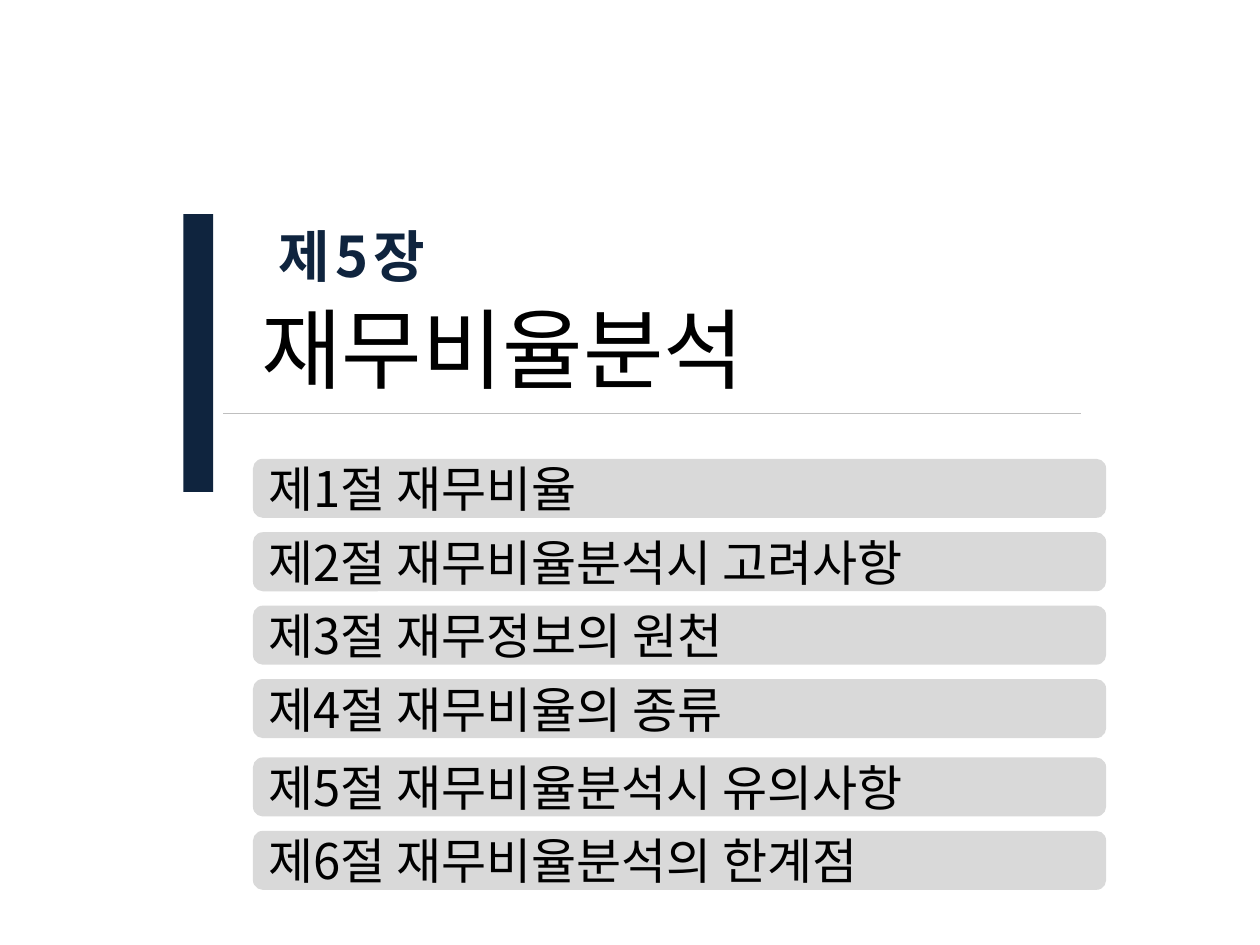
import pptx
import pptx.dml.color
import pptx.enum.shapes
import pptx.enum.text
import pptx.oxml.ns
import pptx.util
from dataclasses import dataclass
from lxml import etree

Cm = pptx.util.Cm
Shape = pptx.enum.shapes.MSO_SHAPE
Align = pptx.enum.text.PP_ALIGN


@dataclass(frozen=True)
class Theme:
    font: str = "Noto Sans CJK KR"
    navy: str = "0F243E"
    text: str = "000000"
    panel: str = "D9D9D9"
    rule: str = "BFBFBF"
    title_size: int = 50
    chapter_size: int = 32
    section_size: int = 28


theme = Theme()


def add_panel(page, kind, left, top, width, height, color):
    panel = page.shapes.add_shape(kind, Cm(left), Cm(top), Cm(width), Cm(height))
    panel.shadow.inherit = False
    panel.fill.solid()
    panel.fill.fore_color.rgb = pptx.dml.color.RGBColor.from_string(color)
    panel.line.fill.background()
    return panel


def write_text(box, text, size, color, align=Align.LEFT, bold=False):
    frame = box.text_frame
    frame.word_wrap = True
    frame.vertical_anchor = pptx.enum.text.MSO_ANCHOR.MIDDLE
    frame.margin_top = frame.margin_bottom = 0
    para = frame.paragraphs[0]
    para.alignment = align
    span = para.add_run()
    span.text = text
    span.font.size = pptx.util.Pt(size)
    span.font.bold = bold
    span.font.color.rgb = pptx.dml.color.RGBColor.from_string(color)
    span.font.name = theme.font
    # Korean glyphs take the East Asian typeface
    etree.SubElement(span.font._element, pptx.oxml.ns.qn("a:ea"), typeface=theme.font)
    return span


deck = pptx.Presentation()
deck.slide_width, deck.slide_height = Cm(25.4), Cm(19.05)
page = deck.slides.add_slide(deck.slide_layouts[6])

# Chapter title
title = page.shapes.add_textbox(Cm(4.5), Cm(5.26), Cm(19.2), Cm(3.07))
write_text(title, "재무비율분석", theme.title_size, theme.text)
title.text_frame.margin_left = Cm(0.77)
title.text_frame.margin_top = Cm(0.43)

# Chapter number, letter-spaced
chapter = page.shapes.add_textbox(Cm(4.5), Cm(4.32), Cm(5.2), Cm(1.63))
span = write_text(chapter, "제5장", theme.chapter_size, theme.navy, Align.CENTER, bold=True)
span.font._element.set("spc", "300")

# Accent bar and rule
add_panel(page, Shape.RECTANGLE, 3.7, 4.32, 0.6, 5.6, theme.navy)
rule = page.shapes.add_connector(
    pptx.enum.shapes.MSO_CONNECTOR.STRAIGHT, Cm(4.5), Cm(8.33), Cm(21.8), Cm(8.33))
rule.line.color.rgb = pptx.dml.color.RGBColor.from_string(theme.rule)
rule.line.width = pptx.util.Pt(0.75)
etree.SubElement(rule._element.spPr, pptx.oxml.ns.qn("a:effectLst"))

# Section list: two groups, each evenly pitched from its first bar
pitch = 1.48
groups = [
    (9.25, ["제1절 재무비율", "제2절 재무비율분석시 고려사항",
            "제3절 재무정보의 원천", "제4절 재무비율의 종류"]),
    (15.27, ["제5절 재무비율분석시 유의사항", "제6절 재무비율분석의 한계점"]),
]
for first_top, sections in groups:
    for index, section in enumerate(sections):
        bar = add_panel(page, Shape.ROUNDED_RECTANGLE, 5.1,
                        first_top + index * pitch, 17.2, 1.19, theme.panel)
        write_text(bar, section, theme.section_size, theme.text)

deck.save("out.pptx")
